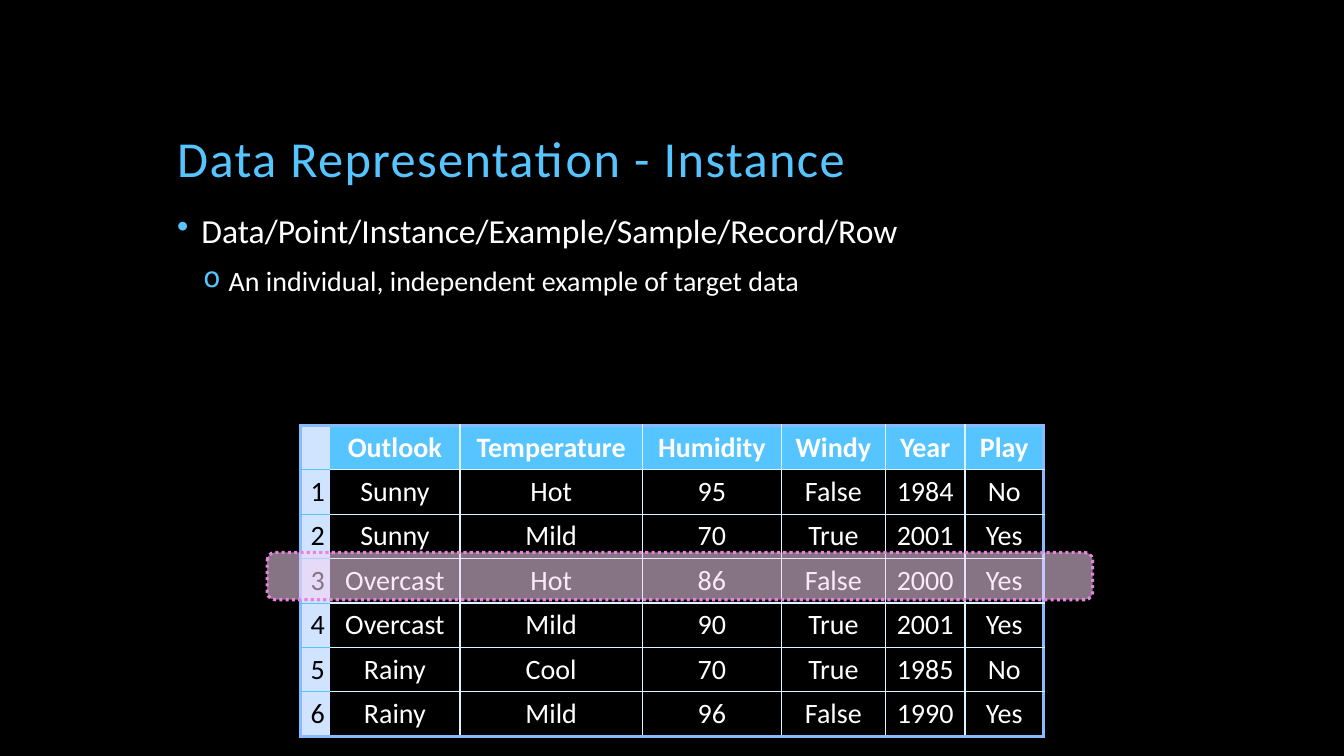
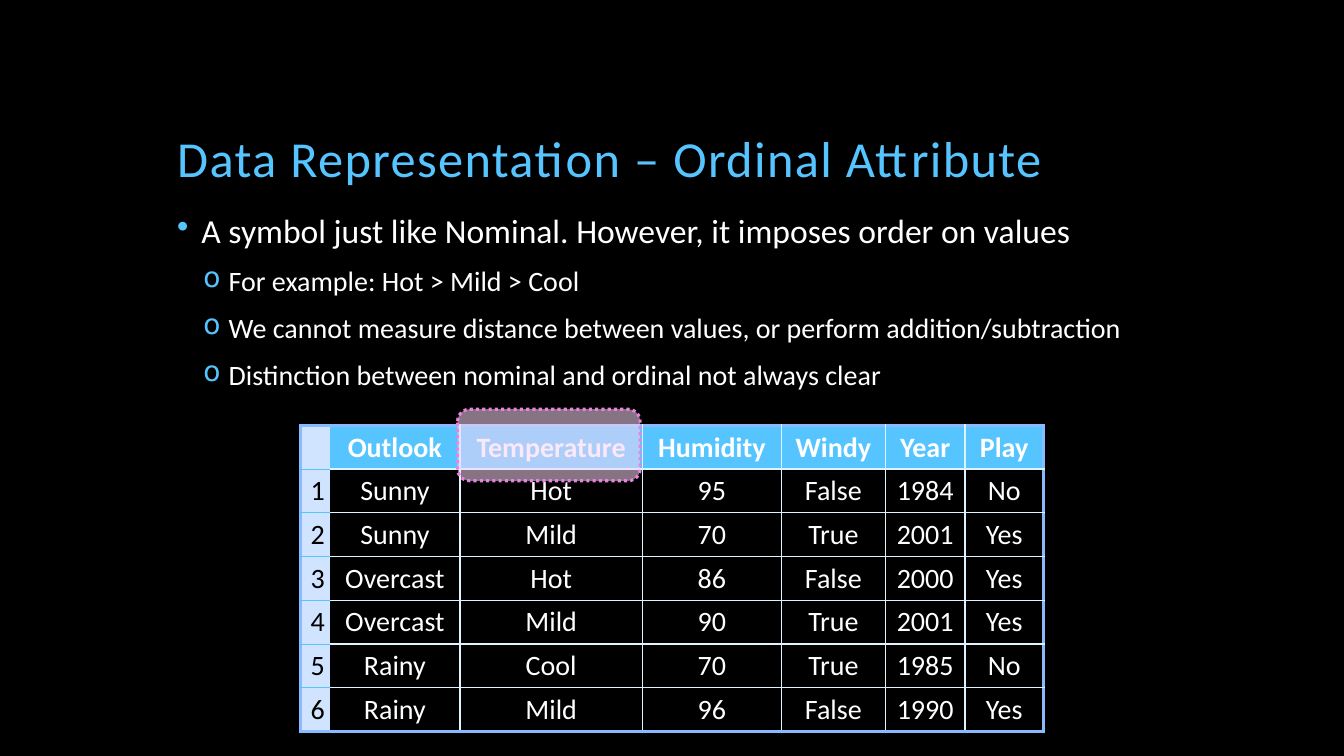
from lxml import etree
from pptx import Presentation
from pptx.dml.color import RGBColor
from pptx.enum import dml, shapes, text
from pptx.oxml import ns
from pptx.util import Pt

FONT = "Calibri"
BLACK, WHITE = "000000", "FFFFFF"
SKY, PALE, MIST, EDGE = "56C5FF", "D0E3FF", "DDF3FF", "89BAFF"
PINK, ROSE = "F8D6F4", "E983DD"
PLAIN = "{2D5ABB26-0587-4C30-8999-92F81FD0307C}"

TITLE = (119.5, 30.2, 720, 108)
BODY = (119.5, 149.8, 719.3, 324)
GRID = (214.6, 303.8)
COLS = (21, 93, 130.3, 99.4, 74.2, 56.9, 56)
ROW = 31.2
LEVELS = [
    dict(mark="•", size=24, left=17.3, hang=17.3, gap=18),
    dict(mark="o", size=20, left=36.7, hang=18, gap=12),
]
WEATHER = [
    ("", "Outlook", "Temperature", "Humidity", "Windy", "Year", "Play"),
    ("1", "Sunny", "Hot", "95", "False", "1984", "No"),
    ("2", "Sunny", "Mild", "70", "True", "2001", "Yes"),
    ("3", "Overcast", "Hot", "86", "False", "2000", "Yes"),
    ("4", "Overcast", "Mild", "90", "True", "2001", "Yes"),
    ("5", "Rainy", "Cool", "70", "True", "1985", "No"),
    ("6", "Rainy", "Mild", "96", "False", "1990", "Yes"),
]
SLIDES = [
    dict(
        title="Data Representation - Instance",
        points=[
            (0, "Data/Point/Instance/Example/Sample/Record/Row"),
            (1, "An individual, independent example of target data"),
        ],
        focus=(190.8, 394.6, 589.7, 33.8),
    ),
    dict(
        title="Data Representation – Ordinal Attribute",
        points=[
            (0, "A symbol just like Nominal. However, it imposes order on values"),
            (1, "For example: Hot > Mild > Cool"),
            (1, "We cannot measure distance between values, or perform addition/subtraction"),
            (1, "Distinction between nominal and ordinal not always clear"),
        ],
        focus=(326.9, 292.3, 130.3, 51.1),
    ),
]


def color(code):
    return RGBColor.from_string(code)


def points(box):
    return [Pt(n) for n in box]


def node(parent, tag, **attrs):
    item = etree.SubElement(parent, ns.qn(tag))
    for key, value in attrs.items():
        item.set(key, str(value))
    return item


def write(para, words, size, tint, bold=False):
    run = para.add_run()
    run.text = words
    font = run.font
    font.name, font.size, font.bold = FONT, Pt(size), bold
    font.color.rgb = color(tint)
    return run


def add_box(slide, box, anchor):
    frame = slide.shapes.add_textbox(*points(box)).text_frame
    frame.word_wrap = True
    frame.vertical_anchor = anchor
    return frame


def add_title(slide, words):
    para = add_box(slide, TITLE, text.MSO_ANCHOR.BOTTOM).paragraphs[0]
    para.line_spacing = 0.9
    run = write(para, words, 36, SKY)
    run.font._element.set("spc", "100")


def add_body(slide, items):
    frame = add_box(slide, BODY, text.MSO_ANCHOR.TOP)
    for i, (depth, words) in enumerate(items):
        para = frame.add_paragraph() if i else frame.paragraphs[0]
        look = LEVELS[depth]
        para.level = depth
        para.line_spacing = 0.9
        para.space_before = Pt(look["gap"])
        props = para._p.get_or_add_pPr()
        props.set("marL", str(Pt(look["left"])))
        props.set("indent", str(-Pt(look["hang"])))
        node(node(props, "a:buClr"), "a:srgbClr", val=SKY)
        node(props, "a:buChar", char=look["mark"])
        write(para, words, look["size"], WHITE)


def set_edges(cell, edges):
    props = cell._tc.get_or_add_tcPr()
    for i, (side, edge) in enumerate(zip("LRTB", edges)):
        line = node(props, "a:ln" + side)
        props.insert(i, line)
        if edge:
            tint, width = edge
            line.set("w", str(Pt(width)))
            node(node(line, "a:solidFill"), "a:srgbClr", val=tint)
        else:
            line.set("w", "0")
            node(line, "a:noFill")


def find_edges(r, c):
    outer, inner = (EDGE, 2.25), (MIST, 1)
    flat = inner if c else (SKY, 0.5)
    left = outer if c == 0 else None if c == 1 else inner
    right = outer if c == len(COLS) - 1 else inner if c else None
    top = flat if r else outer
    low = outer if r == len(WEATHER) - 1 else flat
    return left, right, top, low


def add_grid(slide):
    size = (sum(COLS), ROW * len(WEATHER))
    frame = slide.shapes.add_table(len(WEATHER), len(COLS), *points(GRID + size))
    table = frame.table
    table.first_row = table.horz_banding = False
    table._tbl.tblPr.find(ns.qn("a:tableStyleId")).text = PLAIN
    for col, width in zip(table.columns, COLS):
        col.width = Pt(width)
    for r, row in enumerate(WEATHER):
        table.rows[r].height = Pt(ROW)
        for c, words in enumerate(row):
            cell = table.cell(r, c)
            if c and r:
                cell.fill.background()
            else:
                cell.fill.solid()
                cell.fill.fore_color.rgb = color(SKY if c else PALE)
            set_edges(cell, find_edges(r, c))
            para = cell.text_frame.paragraphs[0]
            para.alignment = text.PP_ALIGN.CENTER
            if words:
                write(para, words, 20, WHITE if c else BLACK, r == 0)


def add_focus(slide, box):
    kind = shapes.MSO_SHAPE.ROUNDED_RECTANGLE
    shape = slide.shapes.add_shape(kind, *points(box))
    shape.shadow.inherit = False
    shape.fill.solid()
    shape.fill.fore_color.rgb = color(PINK)
    tint = shape._element.spPr.find(".//" + ns.qn("a:srgbClr"))
    node(tint, "a:alpha", val=54000)
    shape.line.color.rgb = color(ROSE)
    shape.line.width = Pt(2.25)
    shape.line.dash_style = dml.MSO_LINE.ROUND_DOT


def main():
    deck = Presentation()
    deck.slide_width, deck.slide_height = Pt(960), Pt(540)
    back = deck.slide_master.background.fill
    back.solid()
    back.fore_color.rgb = color(BLACK)
    for page in SLIDES:
        slide = deck.slides.add_slide(deck.slide_layouts[6])
        add_grid(slide)
        add_title(slide, page["title"])
        add_body(slide, page["points"])
        add_focus(slide, page["focus"])
    deck.save("out.pptx")


if __name__ == "__main__":
    main()
